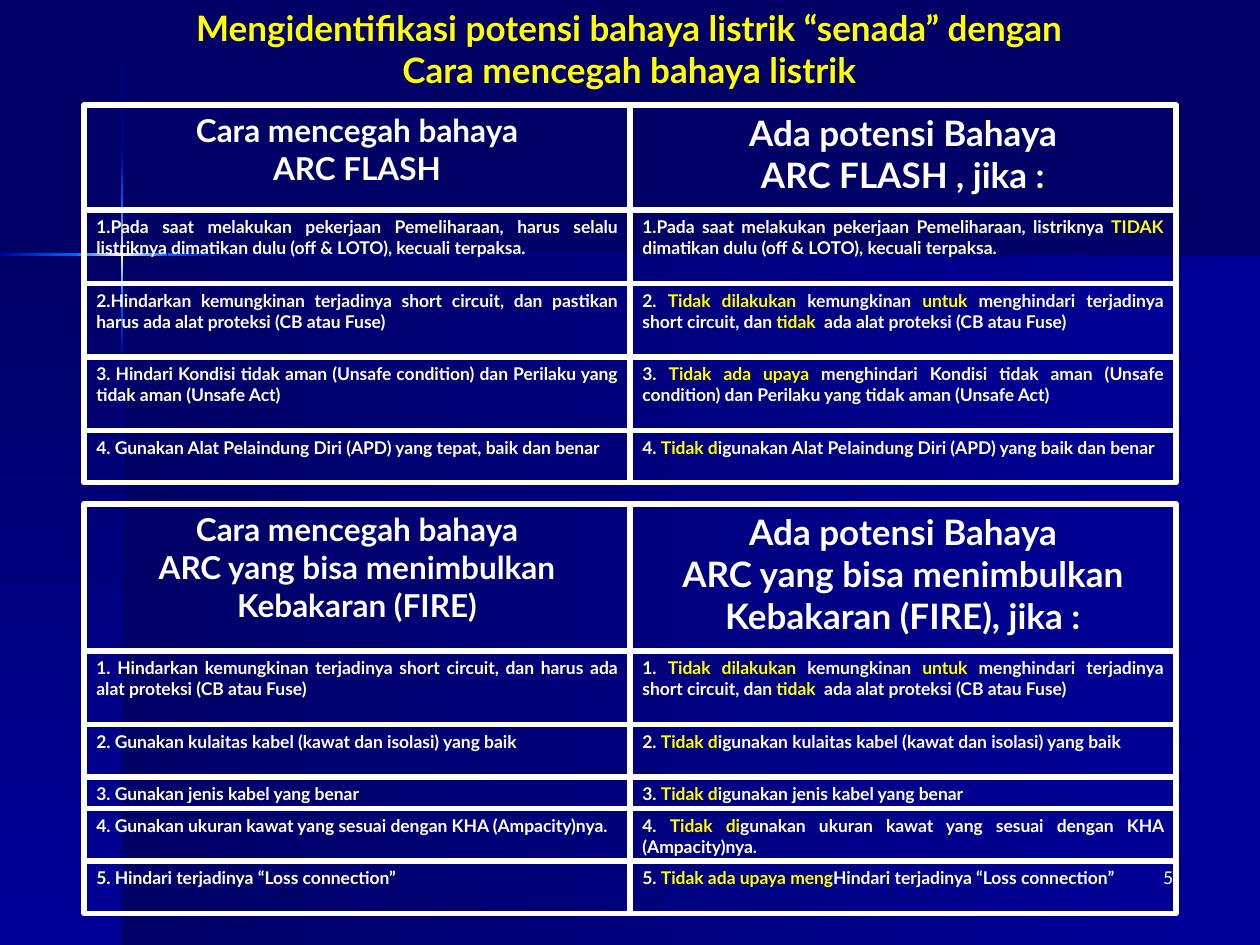
from copy import deepcopy
from itertools import pairwise

from pptx import Presentation
from pptx.dml.color import RGBColor
from pptx.enum.shapes import MSO_SHAPE as Shape
from pptx.enum.text import MSO_ANCHOR as Anchor, MSO_AUTO_SIZE as Fit, PP_ALIGN as Align
from pptx.util import Inches, Pt

HEX = {"navy": "000066", "blue": "000099", "sky": "0066FF", "cream": "FFFFCC",
       "white": "FFFFFF", "yellow": "FFFF00"}
COL = {name: RGBColor.from_string(code) for name, code in HEX.items()}
UNIT = 1 / 12  # grid step in inches
FRAME = {"word_wrap": True, "auto_size": Fit.NONE, "vertical_anchor": Anchor.TOP,
         "margin_left": Inches(0.1), "margin_right": Inches(0.1),
         "margin_top": Inches(0.05), "margin_bottom": Inches(0.05)}

# Each table: head size and text per column, then rows of (height, left, right).
# Heights are in grid units; words between asterisks are yellow.
FLASH = [
    (10, "Cara mencegah bahaya\nARC FLASH", "Ada potensi Bahaya\nARC FLASH , jika :"),
    (7, "1.Pada saat melakukan pekerjaan Pemeliharaan, harus selalu listriknya "
        "dimatikan dulu (off & LOTO), kecuali terpaksa.",
     "1.Pada saat melakukan pekerjaan Pemeliharaan, listriknya *TIDAK* "
     "dimatikan dulu (off & LOTO), kecuali terpaksa."),
    (7, "2.Hindarkan kemungkinan terjadinya short circuit, dan pastikan harus ada "
        "alat proteksi (CB atau Fuse)",
     "2. *Tidak dilakukan *kemungkinan *untuk* menghindari terjadinya short circuit, "
     "dan *tidak*  ada alat proteksi (CB atau Fuse)"),
    (7, "3. Hindari Kondisi tidak aman (Unsafe condition) dan Perilaku yang tidak "
        "aman (Unsafe Act)",
     "3. *Tidak ada upaya *menghindari Kondisi tidak aman (Unsafe condition) dan "
     "Perilaku yang tidak aman (Unsafe Act)"),
    (5, "4. Gunakan Alat Pelaindung Diri (APD) yang tepat, baik dan benar",
     "4. *Tidak d*igunakan Alat Pelaindung Diri (APD) yang baik dan benar"),
]
FIRE = [
    (14, "Cara mencegah bahaya\nARC yang bisa menimbulkan Kebakaran (FIRE)",
     "Ada potensi Bahaya\nARC yang bisa menimbulkan Kebakaran (FIRE), jika :"),
    (7, "1. Hindarkan kemungkinan terjadinya short circuit, dan harus ada alat "
        "proteksi (CB atau Fuse)",
     "1. *Tidak dilakukan *kemungkinan *untuk* menghindari terjadinya short circuit, "
     "dan *tidak*  ada alat proteksi (CB atau Fuse)"),
    (5, "2. Gunakan kulaitas kabel (kawat dan isolasi) yang baik",
     "2. *Tidak d*igunakan kulaitas kabel (kawat dan isolasi) yang baik"),
    (3, "3. Gunakan jenis kabel yang benar",
     "3. *Tidak d*igunakan jenis kabel yang benar"),
    (5, "4. Gunakan ukuran kawat yang sesuai dengan KHA (Ampacity)nya.",
     "4. *Tidak di*gunakan ukuran kawat yang sesuai dengan KHA (Ampacity)nya."),
    (5, "5. Hindari terjadinya “Loss connection”",
     "5. *Tidak ada upaya meng*Hindari terjadinya “Loss connection”"),
]


def set_all(item, values):
    for name, value in values.items():
        setattr(item, name, value)


def write(shape, text, size, align, color="white", bold=True):
    frame = shape.text_frame
    set_all(frame, FRAME)
    for i, line in enumerate(text.split("\n")):
        para = frame.add_paragraph() if i else frame.paragraphs[0]
        para.alignment = align
        for j, part in enumerate(line.split("*")):
            run = para.add_run()
            run.text = part
            set_all(run.font, {"name": "Lato", "size": Pt(size), "bold": bold})
            run.font.color.rgb = COL["yellow" if j % 2 else color]


def add_rect(slide, box):
    rect = slide.shapes.add_shape(Shape.RECTANGLE, *map(Inches, box))
    rect.shadow.inherit = False
    return rect


def add_blend(slide, box, names, down):
    """Rectangle with an even gradient, running down or to the right."""
    rect = add_rect(slide, box)
    rect.line.fill.background()
    fill = rect.fill
    fill.gradient()
    fill.gradient_angle = 270 if down else 0
    if len(names) == 3:
        stops = rect._element.spPr.find(".//{*}gsLst")
        stops.insert(1, deepcopy(stops[0]))
    for i, (stop, name) in enumerate(zip(fill.gradient_stops, names)):
        stop.color.rgb = COL[name]
        stop.position = i / (len(names) - 1)


def add_beam(slide, at, marks, down):
    """Thin glowing line made of strips between the marks."""
    blends = [("navy", "blue"), ("blue", "sky"), ("sky", "cream", "sky"),
              ("sky", "blue"), ("blue", "navy")]
    for (start, end), names in zip(pairwise(marks), blends[-(len(marks) - 1):]):
        size = end - start
        box = (at, start, 0.02, size) if down else (start, at, size, 0.02)
        add_blend(slide, box, names, down)


def add_back(slide, wide, high):
    fill = slide.background.fill
    fill.solid()
    fill.fore_color.rgb = COL["navy"]
    x, y = 0.97, 2.02
    add_blend(slide, (x, y, wide - x, high - y), ("navy", "blue"), False)
    add_blend(slide, (0, y, x, high - y), ("navy", "blue"), True)
    add_beam(slide, x - 0.01, (0.01, 1.21, 1.65, 2.38, 2.82, high), True)
    add_beam(slide, y - 0.01, (0, 0.6, 1.33, 1.77, wide), False)


def add_title(slide, box):
    title = slide.shapes.title
    set_all(title, dict(zip(("left", "top", "width", "height"), map(Inches, box))))
    write(title, "Mengidentifikasi potensi bahaya listrik “senada” dengan\n"
                 "Cara mencegah bahaya listrik", 20, Align.CENTER, "yellow")


def add_grid(slide, left, top, wide, rows):
    """Two equal columns of outlined boxes; the first row is the head."""
    for i, (units, *texts) in enumerate(rows):
        high = units * UNIT
        for j, text in enumerate(texts):
            cell = add_rect(slide, (left + j * wide / 2, top, wide / 2, high))
            cell.fill.background()
            cell.line.color.rgb = COL["white"]
            cell.line.width = Pt(3)
            if i:
                write(cell, text, 10, Align.JUSTIFY)
            else:
                write(cell, text, (18, 20)[j], Align.CENTER)
        top += high


def add_number(slide, box):
    note = slide.shapes.add_textbox(*map(Inches, box))
    write(note, "5", 10, Align.RIGHT, bold=False)


def main():
    deck = Presentation()
    wide, high = 10, 7.5
    deck.slide_width, deck.slide_height = Inches(wide), Inches(high)
    slide = deck.slides.add_slide(deck.slide_layouts[5])
    add_back(slide, wide, high)
    add_title(slide, (0.83, 0, 8.33, 0.77))
    add_number(slide, (7.33, 6.83, 2.08, 0.5))
    # Both tables share the same side margins
    side = 8 * UNIT
    for top, rows in ((10 * UNIT, FLASH), (4, FIRE)):
        add_grid(slide, side, top, wide - 2 * side, rows)
    deck.save("out.pptx")


if __name__ == "__main__":
    main()
